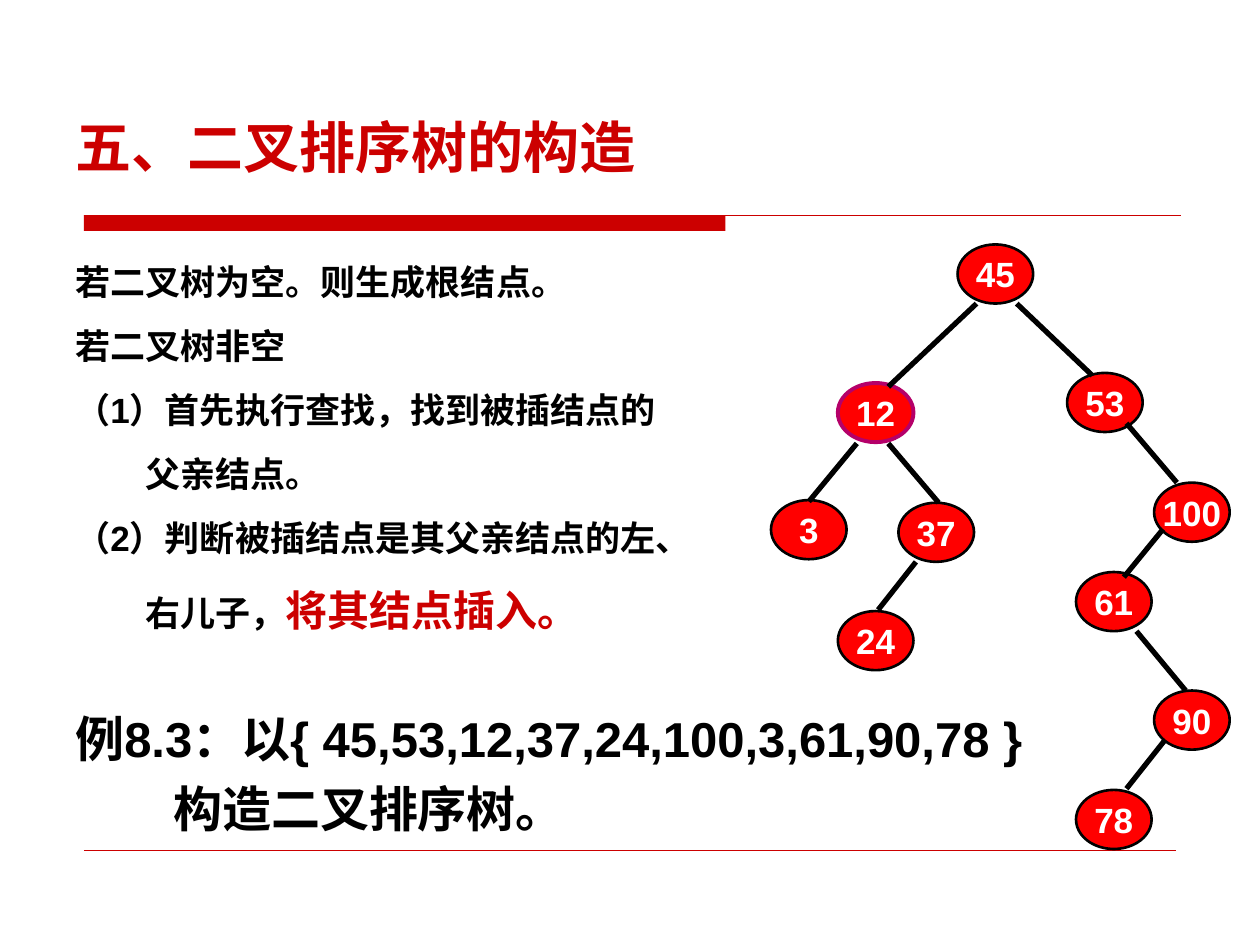
from lxml.etree import SubElement
from pptx import Presentation
from pptx.dml.color import RGBColor
from pptx.enum.shapes import MSO_CONNECTOR as CONN, MSO_SHAPE as SHAPE
from pptx.enum.text import MSO_ANCHOR as ANCHOR, PP_ALIGN as ALIGN
from pptx.oxml.ns import qn
from pptx.util import Pt

RED, BLACK, WHITE = "CC0000", "000000", "FFFFFF"
NODE_FILL, NODE_ACCENT = "FF0000", "B50069"
NODE_W, NODE_H = 43.2, 33.8
INDENT = 36

NODES = {
    "45": (547.2, 139.7), "53": (609.8, 213.1), "100": (659.5, 275.8),
    "61": (614.9, 326.9), "12": (478.8, 218.9), "3": (440.6, 285.8),
    "90": (659.5, 394.6), "78": (614.9, 451.4), "37": (513.4, 287.3),
    "24": (478.8, 349.2),
}
EDGES = [
    (581, 173.5, 624.2, 214.6), (643.7, 241.9, 672.5, 275.8),
    (664.6, 302.4, 642.2, 329.8), (489.6, 253.4, 462.2, 286.6),
    (649.4, 360.7, 677.5, 394.6), (665.3, 423.4, 643.7, 450.7),
    (558, 173.5, 507.6, 221), (507.6, 253.4, 536.4, 287.3),
    (523.4, 321.1, 501.8, 348.5),
]
STEPS = [
    ("若二叉树为空。则生成根结点。", INDENT),
    ("若二叉树非空", INDENT),
    ("（1）首先执行查找，找到被插结点的", INDENT),
    ("父亲结点。", 76),
    ("（2）判断被插结点是其父亲结点的左、", INDENT),
]


def rgb(value):
    return RGBColor.from_string(value)


def add_run(p, text, size=20, color=BLACK, font="Arial", bold=True):
    r = p.add_run()
    r.text = text
    r.font.size = Pt(size)
    r.font.name = font
    r.font.bold = bold
    r.font.color.rgb = rgb(color)


class Deck:
    def __init__(self, prs):
        self.s = prs.slides.add_slide(prs.slide_layouts[6])

    def line(self, x1, y1, x2, y2, color=BLACK, width=3):
        sp = self.s.shapes.add_connector(CONN.STRAIGHT, Pt(x1), Pt(y1), Pt(x2), Pt(y2))
        sp.line.color.rgb = rgb(color)
        sp.line.width = Pt(width)
        SubElement(sp._element.spPr, qn("a:effectLst"))

    def shape(self, kind, x, y, w, h, fill):
        sp = self.s.shapes.add_shape(kind, Pt(x), Pt(y), Pt(w), Pt(h))
        sp.shadow.inherit = False
        sp.fill.solid()
        sp.fill.fore_color.rgb = rgb(fill)
        sp.line.fill.background()
        return sp

    def node(self, key, x, y):
        sp = self.shape(SHAPE.OVAL, x, y, NODE_W, NODE_H, NODE_FILL)
        accent = key == "12"
        sp.line.color.rgb = rgb(NODE_ACCENT if accent else BLACK)
        sp.line.width = Pt(2.25 if accent else 1.5)
        tf = sp.text_frame
        tf.word_wrap = False
        tf.vertical_anchor = ANCHOR.MIDDLE
        p = tf.paragraphs[0]
        p.alignment = ALIGN.CENTER
        add_run(p, key, color=WHITE)

    def text(self, x, y, w, h, wrap=True):
        tf = self.s.shapes.add_textbox(Pt(x), Pt(y), Pt(w), Pt(h)).text_frame
        tf.word_wrap = wrap
        return tf

    def paragraph(self, tf, text, indent=INDENT, before=0, spacing=None, **style):
        p = tf.paragraphs[0]
        if p.runs:
            p = tf.add_paragraph()
            p.space_before = Pt(before)
        p._p.get_or_add_pPr().set("marL", str(Pt(indent)))
        if spacing:
            p.line_spacing = spacing
        add_run(p, text, **style)
        return p


def main():
    prs = Presentation()
    prs.slide_width, prs.slide_height = Pt(720), Pt(540)
    deck = Deck(prs)

    deck.shape(SHAPE.RECTANGLE, 48, 123, 366.5, 9, RED)
    deck.line(48, 123, 674.6, 123, RED, 0.75)
    deck.line(48, 486, 672, 486, RED, 0.25)

    for key, (x, y) in NODES.items():
        deck.node(key, x, y)
    for edge in EDGES:
        deck.line(*edge)

    title = deck.text(0, 60.5, 371, 46, wrap=False)
    deck.paragraph(title, "五、二叉排序树的构造", size=32, color=RED, font="DejaVu Sans")

    body = deck.text(0, 145.5, 720, 221)
    for text, indent in STEPS:
        deck.paragraph(body, text, indent, before=12.5)
    p = deck.paragraph(body, "右儿子，", 76, before=15)
    add_run(p, "将其结点插入。", size=24, color=RED)

    example = deck.text(0, 394.5, 595.5, 128)
    deck.paragraph(example, "例8.3：以{ 45,53,12,37,24,100,3,61,90,78 }", spacing=1.2, size=28)
    deck.paragraph(example, "构造二叉排序树。", 92, spacing=1.2, size=28)

    prs.save("out.pptx")


if __name__ == "__main__":
    main()
